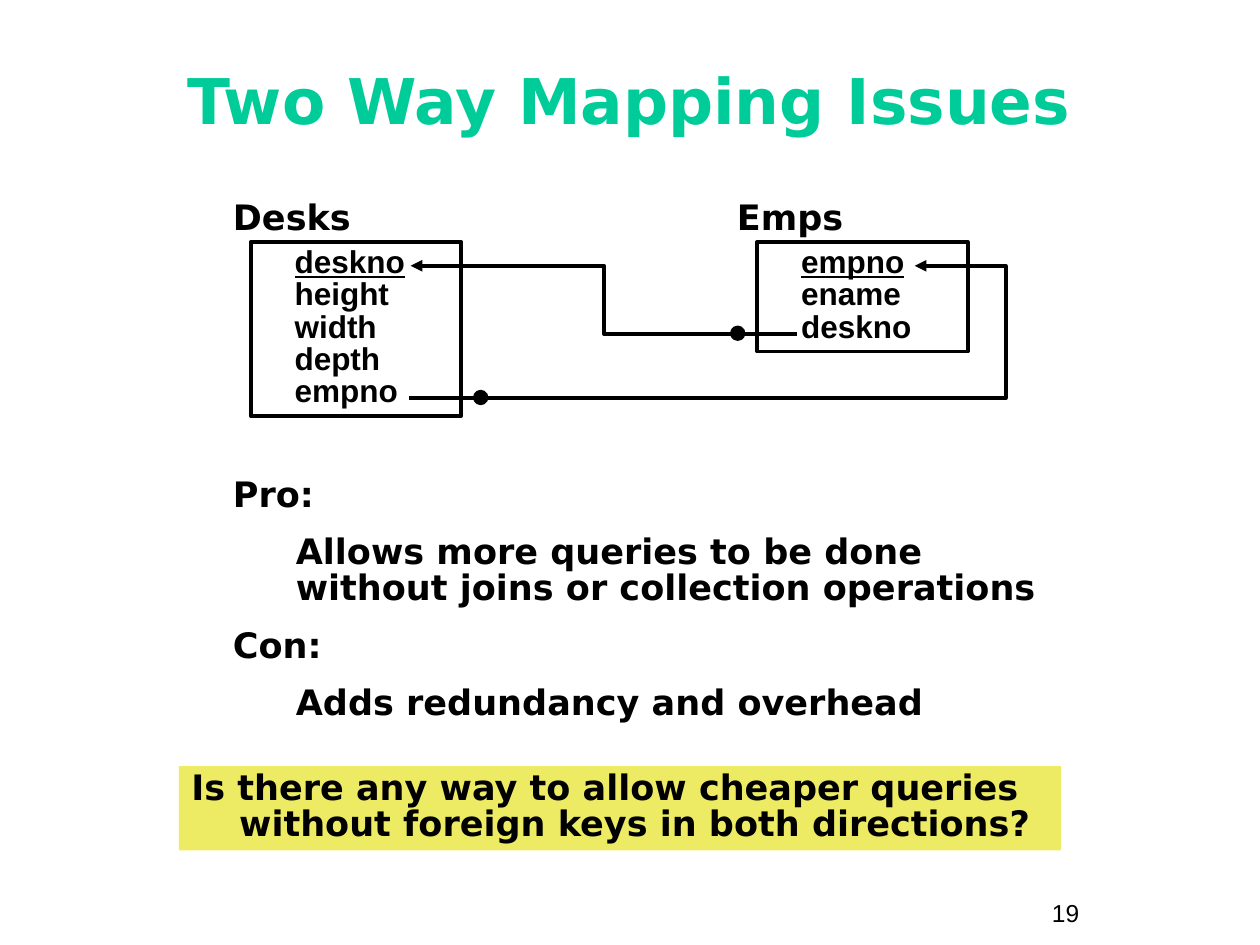
from dataclasses import dataclass

from lxml import etree
from pptx import Presentation
from pptx.dml.color import RGBColor
from pptx.enum import shapes, text
from pptx.oxml import ns
from pptx.util import Inches, Pt


@dataclass(frozen=True)
class Theme:
    ink: RGBColor = RGBColor(0, 0, 0)
    accent: RGBColor = RGBColor(0x00, 0xCC, 0x99)
    highlight: RGBColor = RGBColor(0xED, 0xEA, 0x63)
    heading_font: str = "DejaVu Sans"
    field_font: str = "Arial"
    title: int = 36
    body: int = 20
    field: int = 18
    number: int = 14
    line: float = 2.25
    leading: float = 0.85
    gap: float = 12.5


T = Theme()
HANGING = (0.38, -0.38)
NESTED = (0.5, 0)


def style(p, size, font=T.heading_font, color=T.ink, bold=True, indent=(0, 0)):
    pPr = p._p.get_or_add_pPr()
    pPr.set("marL", str(Inches(indent[0])))
    pPr.set("indent", str(Inches(indent[1])))
    p.font.size = Pt(size)
    p.font.name = font
    p.font.bold = bold
    p.font.color.rgb = color


def add_paragraphs(tf, lines):
    tf.word_wrap = True
    tf.vertical_anchor = text.MSO_ANCHOR.TOP
    for i, line in enumerate(lines):
        p = tf.add_paragraph() if i else tf.paragraphs[0]
        p.text = line
        p.alignment = text.PP_ALIGN.LEFT
        yield p


def add_label(s, box, words, size=T.body, **look):
    tf = s.shapes.add_textbox(*map(Inches, box)).text_frame
    for p in add_paragraphs(tf, [words]):
        style(p, size, **look)
    return tf


def add_shape(s, kind, box, fill=None, outlined=True):
    sp = s.shapes.add_shape(kind, *map(Inches, box))
    sp.shadow.inherit = False
    if fill is None:
        sp.fill.background()
    else:
        sp.fill.solid()
        sp.fill.fore_color.rgb = fill
    if outlined:
        sp.line.color.rgb = T.ink
        sp.line.width = Pt(T.line)
    else:
        sp.line.fill.background()
    return sp


def add_title(s, words):
    tf = add_label(s, (0.33, 0.33, 9.33, 0.92), words, T.title, color=T.accent)
    tf.vertical_anchor = text.MSO_ANCHOR.MIDDLE
    tf.paragraphs[0].alignment = text.PP_ALIGN.CENTER


def add_entity(s, name, label_x, box, fields):
    add_label(s, (label_x, 1.5, 2.15, 0.44), name)
    tf = add_shape(s, shapes.MSO_SHAPE.RECTANGLE, box).text_frame
    for i, p in enumerate(add_paragraphs(tf, fields)):
        p.line_spacing = T.leading
        style(p, T.field, T.field_font, indent=(0.25, 0))
        p.font.underline = i == 0


def add_reference(s, start, end, arrow, bend):
    c = s.shapes.add_connector(
        shapes.MSO_CONNECTOR.ELBOW, *map(Inches, (*start, *end)))
    c.line.color.rgb = T.ink
    c.line.width = Pt(T.line)
    ln = c.line._get_or_add_ln()
    etree.SubElement(ln, ns.qn(f"a:{arrow}"), type="triangle")
    spPr = c._element.spPr
    etree.SubElement(spPr, ns.qn("a:effectLst"))
    guides = spPr.find(ns.qn("a:prstGeom")).get_or_add_avLst()
    etree.SubElement(guides, ns.qn("a:gd"), name="adj1",
                     fmla=f"val {round(bend * 100000)}")


def add_dot(s, x, y):
    add_shape(s, shapes.MSO_SHAPE.OVAL, (x, y, 0.09, 0.09), T.ink)


def add_points(s, box, points):
    tf = s.shapes.add_textbox(*map(Inches, box)).text_frame
    for i, p in enumerate(add_paragraphs(tf, [words for _, words in points])):
        p.level = points[i][0]
        p.line_spacing = T.leading
        p.space_before = Pt(T.gap if i else 0)
        style(p, T.body, indent=NESTED if p.level else HANGING)


def add_question(s, box, words):
    sp = add_shape(s, shapes.MSO_SHAPE.RECTANGLE, box, T.highlight, False)
    for p in add_paragraphs(sp.text_frame, [words]):
        p.line_spacing = T.leading
        style(p, T.body, indent=HANGING)


def main():
    prs = Presentation()
    prs.slide_width, prs.slide_height = Inches(10), Inches(7.5)
    s = prs.slides.add_slide(prs.slide_layouts[6])

    add_label(s, (8.25, 7.08, 0.92, 0.34), "19", T.number,
              font=T.field_font, bold=False)
    add_title(s, "Two Way Mapping Issues")
    add_entity(s, "Desks", 1.75, (1.99, 1.92, 1.67, 1.38),
               ["deskno", "height", "width", "depth", "empno"])
    add_entity(s, "Emps", 5.75, (6.01, 1.92, 1.67, 0.87),
               ["empno", "ename", "deskno"])
    add_reference(s, (6.33, 2.65), (3.26, 2.11), "tailEnd", 0.5)
    add_dot(s, 5.81, 2.6)
    add_reference(s, (7.26, 2.11), (3.25, 3.16), "headEnd", -0.18)
    add_dot(s, 3.77, 3.11)
    add_points(s, (1.75, 3.75, 6.67, 2.04), [
        (0, "Pro:"),
        (1, "Allows more queries to be done without joins or collection operations"),
        (0, "Con:"),
        (1, "Adds redundancy and overhead"),
    ])
    add_question(s, (1.42, 6.08, 7, 0.67),
                 "Is there any way to allow cheaper queries "
                 "without foreign keys in both directions?")
    prs.save("out.pptx")


if __name__ == "__main__":
    main()
